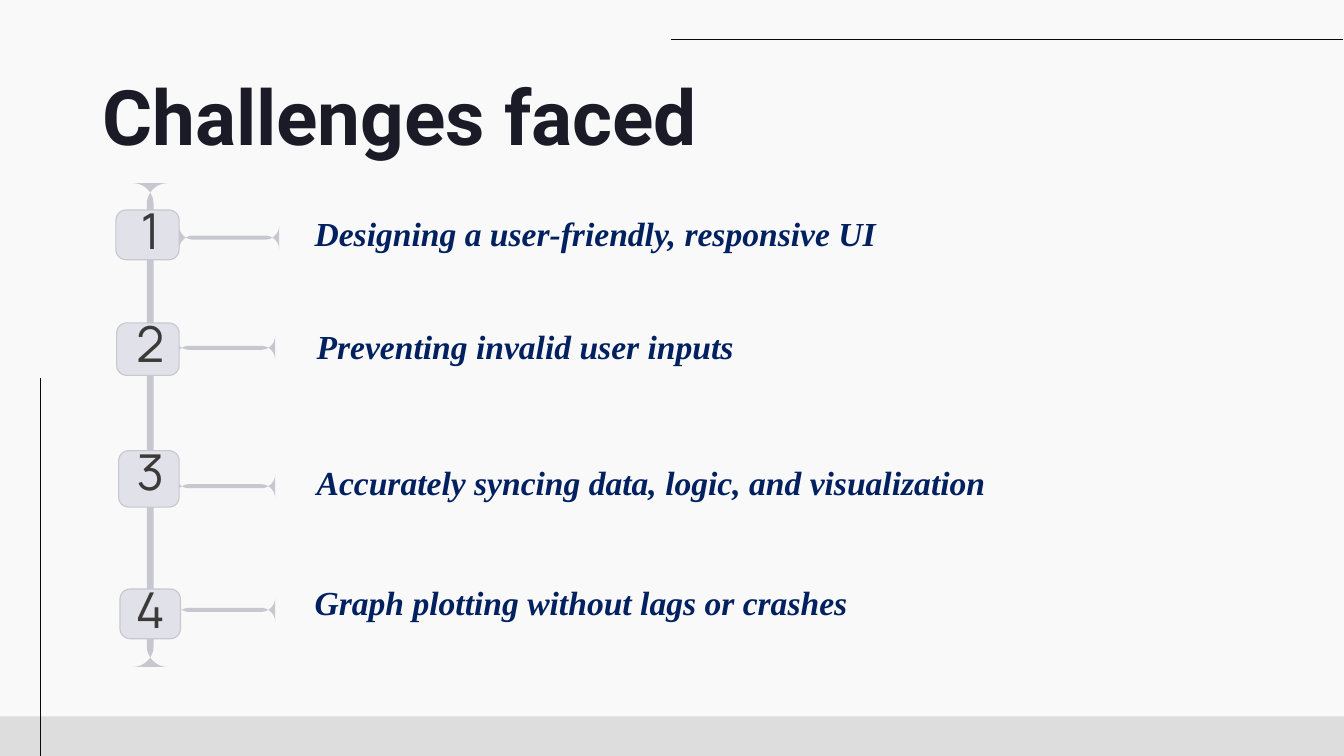
from collections import namedtuple
from math import cos, pi, sin

from lxml.etree import SubElement
from pptx import Presentation
from pptx.dml.color import RGBColor as Color
from pptx.enum.shapes import MSO_CONNECTOR as Connector, MSO_SHAPE as Shape
from pptx.enum.text import MSO_ANCHOR as Anchor, PP_ALIGN as Align
from pptx.oxml.ns import qn
from pptx.util import Inches, Pt

COLORS = {
    "page": "F9F9F9", "band": "DDDDDD", "rule": "0A0A0A", "title": "1B1B27",
    "rail": "C7C7D0", "card": "E1E1EA", "number": "3C3939", "label": "002060",
}
COLUMNS, ROWS = 100, 56.25
UNIT = Inches(10) / COLUMNS

Box = namedtuple("Box", "left top width height")
Step = namedtuple("Step", "label card stem_left stem_drop label_left label_drop")

STEPS = [
    Step("Designing a user-friendly, responsive UI",
         Box(0, 2, 4.7, 3.7), 4.7, 1.9, 13.8, -0.25),
    Step("Preventing invalid user inputs",
         Box(0.05, 10.4, 4.65, 3.9), 4.4, 1.7, 13.95, -0.3),
    Step("Accurately syncing data, logic, and visualization",
         Box(0.2, 19.9, 4.5, 4.2), 4.4, 2.5, 13.95, 0.35),
    Step("Graph plotting without lags or crashes",
         Box(0.3, 30.2, 4.5, 3.7), 4.4, 1.4, 13.8, -1),
]
TITLE_FONT = {"name": "Roboto", "size": Pt(41), "bold": True}
NUMBER_FONT = {"name": "Manrope", "size": Pt(26.5)}
LABEL_FONT = {"name": "Times New Roman", "size": Pt(18), "bold": True, "italic": True}


def grid(*lengths):
    return [round(length * UNIT) for length in lengths]


def paint(shape, fill, line=None):
    shape.shadow.inherit = False
    shape.fill.solid()
    shape.fill.fore_color.rgb = Color.from_string(COLORS[fill])
    if line:
        shape.line.color.rgb = Color.from_string(COLORS[line])
        shape.line.width = Pt(0.6)
    else:
        shape.line.fill.background()


def write(page, box, text, color, font, inset=0, spacing=None, align=Align.LEFT):
    frame = page.shapes.add_textbox(*grid(*box)).text_frame
    frame.word_wrap = True
    frame.vertical_anchor = Anchor.TOP
    for side, margin in zip(("left", "top", "right", "bottom"), (2 * inset, inset) * 2):
        setattr(frame, f"margin_{side}", grid(margin)[0])
    para = frame.paragraphs[0]
    para.alignment = align
    if spacing:
        para.line_spacing = spacing
    span = para.add_run()
    span.text = text
    for name, value in font.items():
        setattr(span.font, name, value)
    span.font.color.rgb = Color.from_string(COLORS[color])


def draw_rule(page, start, end):
    rule = page.shapes.add_connector(Connector.STRAIGHT, *grid(*start, *end))
    rule.line.color.rgb = Color.from_string(COLORS["rule"])
    rule.line.width = Pt(0.75)
    SubElement(rule._element.spPr, qn("a:effectLst"))


def draw_flared_bar(page, box, radius, samples=12):
    left, top, width, height = box
    near_x, far_x = left + radius, left + width - radius
    near_y, far_y = top + radius, top + height - radius
    corners = [(near_x, near_y), (far_x, near_y), (far_x, far_y), (near_x, far_y)]
    points = []
    for turn, (x, y) in enumerate(corners):
        for sample in range(samples + 1):
            angle = pi + (turn + sample / samples) * pi / 2
            points.append(grid(x + radius * cos(angle), y + radius * sin(angle)))
    builder = page.shapes.build_freeform(*points[0])
    builder.add_line_segments(points[1:])
    paint(builder.convert_to_shape(), "rail")


def draw_frame(page, box):
    left, top, width, height = box
    right, bottom = left + width, top + height
    band = page.shapes.add_shape(Shape.RECTANGLE, *grid(left, bottom - 2.95, width, 2.95))
    paint(band, "band")
    draw_rule(page, (left + 3, bottom), (left + 3, top + height / 2))
    draw_rule(page, (left + width / 2 - 0.1, top + 2.94), (right - 0.1, top + 2.94))


def draw_title(page, box):
    write(page, box, "Challenges faced", "title", TITLE_FONT, spacing=Pt(51))


def draw_step(page, box, number, step):
    left, top = box.left, box.top + step.card.top
    draw_flared_bar(page, Box(left + step.stem_left, top + step.stem_drop, 7.45, 0.3), 1.05)
    card_box = Box(left + step.card.left, top, step.card.width, step.card.height)
    card = page.shapes.add_shape(Shape.ROUNDED_RECTANGLE, *grid(*card_box))
    card.adjustments[0] = 0.75 / min(card_box.width, card_box.height)
    paint(card, "card", "rail")
    write(page, Box(left + 0.7, top, 3.7, 4.7), str(number), "number", NUMBER_FONT,
          spacing=Pt(26.5), align=Align.CENTER)
    write(page, Box(left + step.label_left, top + step.label_drop, 54.6, 4),
          step.label, "label", LABEL_FONT, inset=0.5)


def draw_timeline(page, box):
    draw_flared_bar(page, Box(box.left + 2.3, box.top, 0.5, box.height), 1.55)
    for number, step in enumerate(STEPS, 1):
        draw_step(page, box, number, step)


def main():
    deck = Presentation()
    deck.slide_width, deck.slide_height = grid(COLUMNS, ROWS)
    page = deck.slides.add_slide(deck.slide_layouts[6])
    page.background.fill.solid()
    page.background.fill.fore_color.rgb = Color.from_string(COLORS["page"])
    draw_frame(page, Box(0, 0, COLUMNS, ROWS))
    draw_title(page, Box(7.6, 4.9, 57.1, 7.1))
    draw_timeline(page, Box(8.63, 13.63, 68.4, 36))
    deck.save("out.pptx")


if __name__ == "__main__":
    main()
